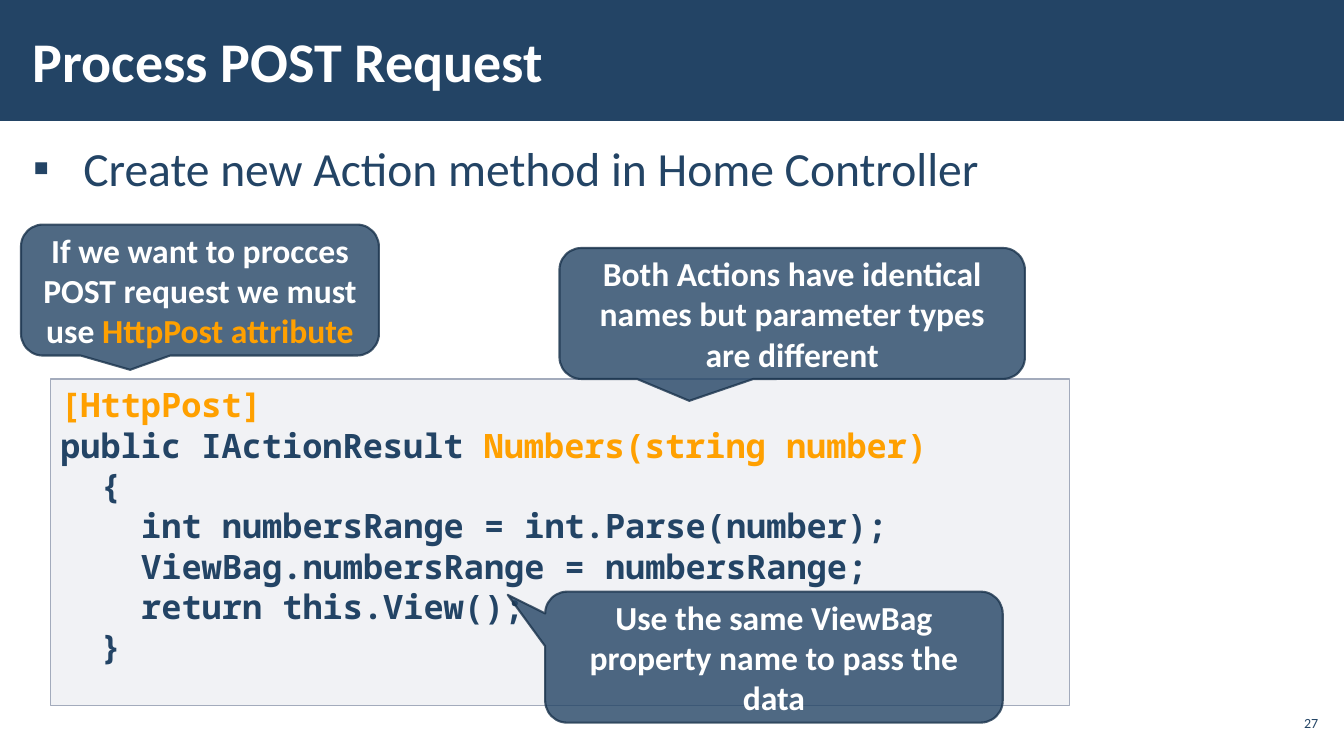
"""Build the slide on processing a POST request."""
from lxml.etree import SubElement
from pptx import Presentation
from pptx.dml.color import RGBColor
from pptx.enum.shapes import MSO_SHAPE
from pptx.enum.text import MSO_ANCHOR, MSO_AUTO_SIZE, PP_ALIGN
from pptx.oxml.ns import qn
from pptx.util import Cm, Pt

NAVY, DARK, GREY, GOLD, WHITE = "234465", "1A334C", "A3ABBC", "FFA000", "FFFFFF"
WIDE, HIGH = 33.87, 19.05
TITLE = "Process POST Request"
POINT = "Create new Action method in Home Controller"
NUMBER = "27"
CODE = [
    (0, [("[HttpPost]", GOLD)]),
    (0, [("public IActionResult ", NAVY), ("Numbers(string number)", GOLD)]),
    (1, [("{", NAVY)]),
    (2, [("int numbersRange = int.Parse(number);", NAVY)]),
    (2, [("ViewBag.numbersRange = numbersRange;", NAVY)]),
    (2, [("return this.View();", NAVY)]),
    (1, [("}", NAVY)]),
]
NOTES = [
    ((0.53, 5.66, 9.02, 3.3), (-0.195, 0.609, 0.167),
     [("If we want to procces POST request we must use ", WHITE),
      ("HttpPost attribute", GOLD)]),
    ((14.1, 6.25, 11.73, 3.3), (-0.221, 0.667, 0.167),
     [("Both Actions have identical names but parameter types are different", WHITE)]),
    ((13.74, 14.91, 11.53, 3.3), (-0.582, -0.476, 0.167),
     [("Use the same ViewBag property name to pass the data", WHITE)]),
]
STEP = 1.02
SIDES = ("left", "top", "width", "height")
HEAD = {"size": Pt(40), "name": "Calibri", "bold": True}
LIST = {"size": Pt(34), "name": "Calibri", "bold": False}
SMALL = {"size": Pt(10), "name": "Calibri"}
MONO = {"size": Pt(24), "name": "Noto Sans Mono", "bold": True}
NOTE = {"size": Pt(24), "name": "Calibri", "bold": True}


def assign(thing, values):
    for key, value in values.items():
        setattr(thing, key, value)


def color(target, code, alpha=100):
    target.solid()
    target.fore_color.rgb = RGBColor.from_string(code)
    return alpha


def place(shape, box):
    assign(shape, dict(zip(SIDES, map(Cm, box))))


def frame(shape, anchor, side=0.25, edge=0.13):
    text = shape.text_frame
    assign(text, {
        "word_wrap": True, "auto_size": MSO_AUTO_SIZE.NONE,
        "vertical_anchor": anchor, "margin_left": Cm(side),
        "margin_right": Cm(side), "margin_top": Cm(edge), "margin_bottom": Cm(edge),
    })
    return text


def write(para, runs, style, align=PP_ALIGN.LEFT):
    para.alignment = align
    for words, code in runs:
        run = para.add_run()
        run.text = words
        assign(run.font, style)
        color(run.font.fill, code)


def fade(shape, tag, alpha):
    props = shape.element.spPr
    part = props if tag == "fill" else props.find(qn("a:ln"))
    tone = part.find(qn("a:solidFill")).find(qn("a:srgbClr"))
    SubElement(tone, qn("a:alpha"), val=str(alpha * 1000))


def panel(shapes, kind, box, fill, line=None, width=1):
    shape = shapes.add_shape(kind, *map(Cm, box))
    shape.shadow.inherit = False
    color(shape.fill, fill)
    if line:
        color(shape.line.fill, line)
        shape.line.width = Pt(width)
    else:
        shape.line.fill.background()
    return shape


def main():
    deck = Presentation()
    assign(deck, {"slide_width": Cm(WIDE), "slide_height": Cm(HIGH)})
    slide = deck.slides.add_slide(deck.slide_layouts[1])
    shapes = slide.shapes

    band = panel(shapes, MSO_SHAPE.RECTANGLE, (0, 0, WIDE, 3.05), NAVY)
    band.element.getparent().insert(2, band.element)

    title, body = slide.placeholders
    place(title, (0.53, 0.28, 26.42, 2.46))
    text = frame(title, MSO_ANCHOR.MIDDLE, 0.3, 0.1)
    write(text.paragraphs[0], [(TITLE, WHITE)], HEAD)

    place(body, (0.53, 3.33, 32.82, 14.45))
    para = frame(body, MSO_ANCHOR.TOP, 0.3, 0.1).paragraphs[0]
    write(para, [(POINT, NAVY)], LIST)
    assign(para, {"line_spacing": 1.05, "space_before": Pt(6), "space_after": Pt(6)})
    props = para._p.get_or_add_pPr()
    props.set("marL", str(Cm(1.27)))
    props.set("indent", str(Cm(-1.27)))
    SubElement(props, qn("a:buChar"), char="▪")

    label = shapes.add_textbox(*map(Cm, (32.13, 17.78, 1.19, 0.86)))
    text = frame(label, MSO_ANCHOR.MIDDLE, 0.1, 0.1)
    write(text.paragraphs[0], [(NUMBER, NAVY)], SMALL, PP_ALIGN.RIGHT)

    block = panel(shapes, MSO_SHAPE.RECTANGLE, (1.27, 9.55, 25.68, 8.23), GREY, GREY)
    fade(block, "fill", 15)
    text = frame(block, MSO_ANCHOR.TOP)
    for row, (level, runs) in enumerate(CODE):
        para = text.add_paragraph() if row else text.paragraphs[0]
        write(para, runs, MONO)
        para.line_spacing = Pt(28.8)
        para._p.get_or_add_pPr().set("marL", str(Cm(level * STEP)))

    for box, tip, runs in NOTES:
        note = panel(shapes, MSO_SHAPE.ROUNDED_RECTANGULAR_CALLOUT, box, NAVY, DARK, 1.5)
        for spot, value in enumerate(tip):
            note.adjustments[spot] = value
        for tag in ("fill", "line"):
            fade(note, tag, 80)
        text = frame(note, MSO_ANCHOR.MIDDLE)
        write(text.paragraphs[0], runs, NOTE, PP_ALIGN.CENTER)

    deck.save("out.pptx")


if __name__ == "__main__":
    main()
